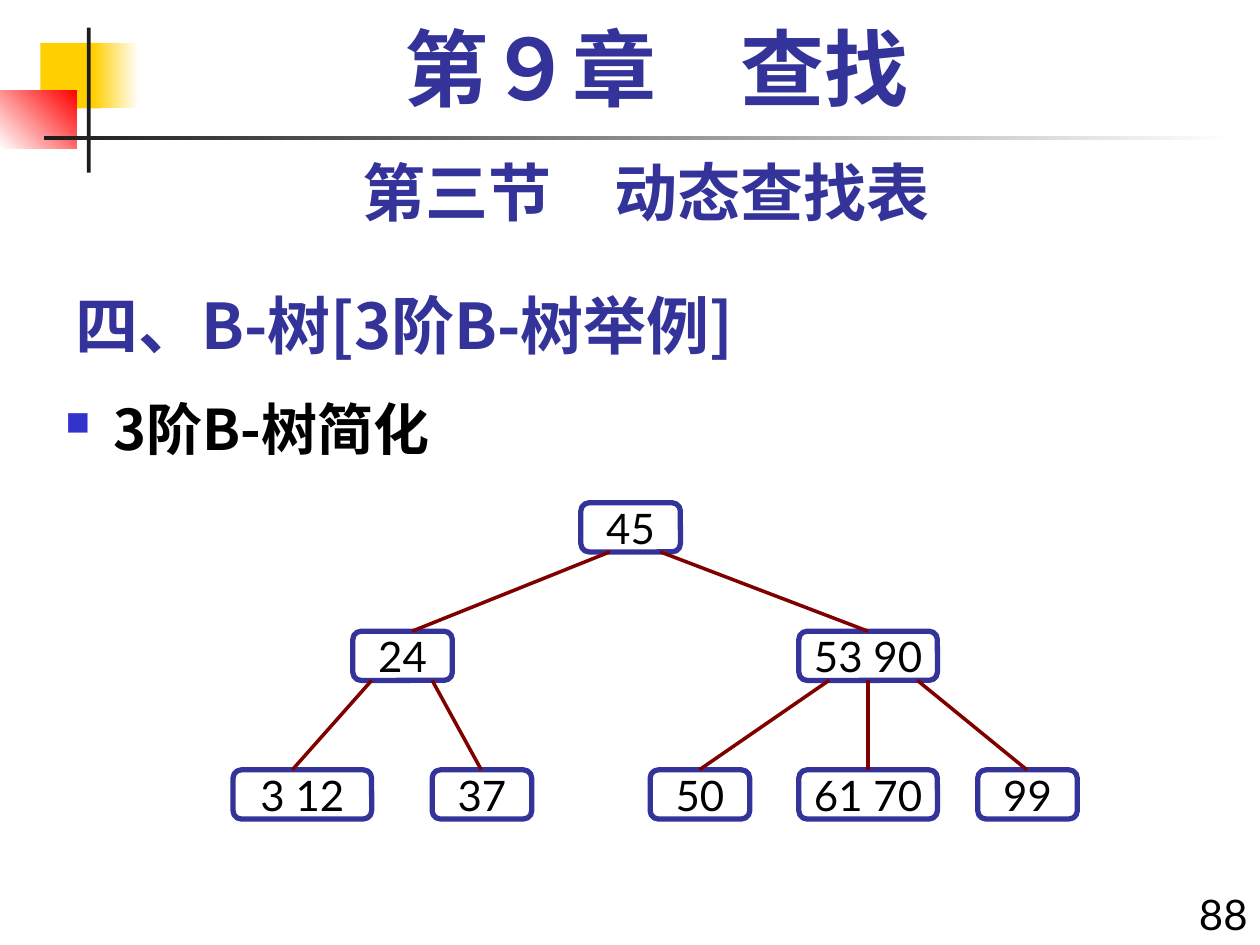
from lxml import etree
from pptx import Presentation
from pptx.dml.color import RGBColor
from pptx.enum import shapes, text
from pptx.oxml.ns import qn
from pptx.util import Inches, Pt

NAVY, BLACK, MAROON = "333399", "000000", "800000"
GOLD, RED, DARK, WHITE = "FFCF01", "FF0000", "1C1C1C", "FFFFFF"
HAN, LATO, TIMES = "Noto Sans CJK SC", "Lato", "Times New Roman"
LEFT, MID, RIGHT = text.PP_ALIGN.LEFT, text.PP_ALIGN.CENTER, text.PP_ALIGN.RIGHT

# left, top, width, height, colours (two make a gradient), angle
DECOR = [
    (0.32, 0.34, 0.48, 0.52, [GOLD], 0),
    (0.74, 0.34, 0.36, 0.52, [GOLD, WHITE], 0),
    (0, 0.72, 0.61, 0.46, [WHITE, RED], 45),
    (0.69, 0.22, 0.03, 1.15, [DARK], 0),
    (0.35, 1.08, 9.45, 0.03, [DARK, WHITE], 0),
]

# text, box, size, font, colour, bold, alignment
CHAPTER = ("第９章　查找", (0.67, 0.17, 9.08, 0.83), 48, TIMES, NAVY, True, MID)
SECTION = ("第三节　动态查找表", (0.5, 1.17, 9.25, 0.7), 36, LATO, NAVY, True, MID)
TITLE = ("四、B-树[3阶B-树举例]", (0.5, 2.17, 6.83, 0.75), 36, HAN, NAVY, True, LEFT)
BODY = ("3阶B-树简化", (0.42, 3.08, 9.58, 4.42), 32, HAN, BLACK, True, LEFT)
NUMBER = ("88", (9.33, 7, 0.67, 0.5), 24, LATO, BLACK, False, RIGHT)

# Each tree level: top, then (keys, left) of its nodes
LEVELS = [
    (3.99, [("45", 4.61)]),
    (5.01, [("24", 2.8), ("53 90", 6.34)]),
    (6.11, [("3 12", 1.85), ("37", 3.43), ("50", 5.16),
            ("61 70", 6.34), ("99", 7.76)]),
]
NODE_H, ONE_KEY, TWO_KEYS = 0.39, 0.79, 1.1
# Links below each level: x at the parent, x at the child
LINKS = [
    [(4.84, 3.27), (5.24, 6.89)],
    [(2.95, 2.32), (3.43, 3.82), (6.58, 5.55), (6.89, 6.89), (7.28, 8.15)],
]


def color(code):
    return RGBColor.from_string(code)


def style(para, size, font, code, bold=False):
    for run in para.runs:
        run.font.size, run.font.bold = Pt(size), bold
        run.font.name = font
        run.font.color.rgb = color(code)
        east = etree.SubElement(run._r.get_or_add_rPr(), qn("a:ea"))
        east.set("typeface", HAN)


def add_text(slide, words, box, size, font, code, bold, align):
    frame = slide.shapes.add_textbox(*map(Inches, box)).text_frame
    frame.word_wrap = True
    frame.text = words
    para = frame.paragraphs[0]
    para.alignment = align
    style(para, size, font, code, bold)
    return frame


def add_bullet(para):
    props = para._p.get_or_add_pPr()
    props.set("marL", str(Inches(0.38)))
    props.set("indent", str(-Inches(0.38)))
    tint = etree.SubElement(props, qn("a:buClr"))
    etree.SubElement(tint, qn("a:srgbClr")).set("val", "3333CC")
    etree.SubElement(props, qn("a:buSzPct")).set("val", "60000")
    etree.SubElement(props, qn("a:buChar")).set("char", "■")


def add_decor(slide, left, top, width, height, codes, angle):
    shape = slide.shapes.add_shape(
        shapes.MSO_SHAPE.RECTANGLE, *map(Inches, (left, top, width, height)))
    shape.shadow.inherit = False
    shape.line.fill.background()
    if len(codes) == 1:
        shape.fill.solid()
        shape.fill.fore_color.rgb = color(codes[0])
        return
    shape.fill.gradient()
    shape.fill.gradient_angle = angle
    for stop, code, place in zip(shape.fill.gradient_stops, codes, (0, 1)):
        stop.color.rgb, stop.position = color(code), place


def add_node(tree, keys, left, top):
    width = TWO_KEYS if len(keys.split()) > 1 else ONE_KEY
    node = tree.shapes.add_shape(
        shapes.MSO_SHAPE.ROUNDED_RECTANGLE,
        *map(Inches, (left, top, width, NODE_H)))
    node.shadow.inherit = False
    node.fill.background()
    node.line.color.rgb, node.line.width = color(NAVY), Pt(3)
    frame = node.text_frame
    frame.word_wrap = False
    frame.vertical_anchor = text.MSO_ANCHOR.MIDDLE
    frame.text = keys
    frame.paragraphs[0].alignment = MID
    style(frame.paragraphs[0], 24, LATO, BLACK)


def add_link(tree, *ends):
    link = tree.shapes.add_connector(
        shapes.MSO_CONNECTOR.STRAIGHT, *map(Inches, ends))
    link.line.color.rgb, link.line.width = color(MAROON), Pt(2)
    etree.SubElement(link._element.spPr, qn("a:effectLst"))


def main():
    deck = Presentation()
    deck.slide_width, deck.slide_height = Inches(10), Inches(7.5)
    slide = deck.slides.add_slide(deck.slide_layouts[6])

    for item in DECOR:
        add_decor(slide, *item)
    add_text(slide, *TITLE).vertical_anchor = text.MSO_ANCHOR.BOTTOM
    add_text(slide, *NUMBER)
    add_text(slide, *SECTION)
    add_bullet(add_text(slide, *BODY).paragraphs[0])
    add_text(slide, *CHAPTER).paragraphs[0].line_spacing = 0.9

    tree = slide.shapes.add_group_shape()
    for top, nodes in LEVELS:
        for keys, left in nodes:
            add_node(tree, keys, left, top)
    for (top, _), (below, _), links in zip(LEVELS, LEVELS[1:], LINKS):
        for start, end in links:
            add_link(tree, start, top + NODE_H, end, below)

    deck.save("out.pptx")


if __name__ == "__main__":
    main()
